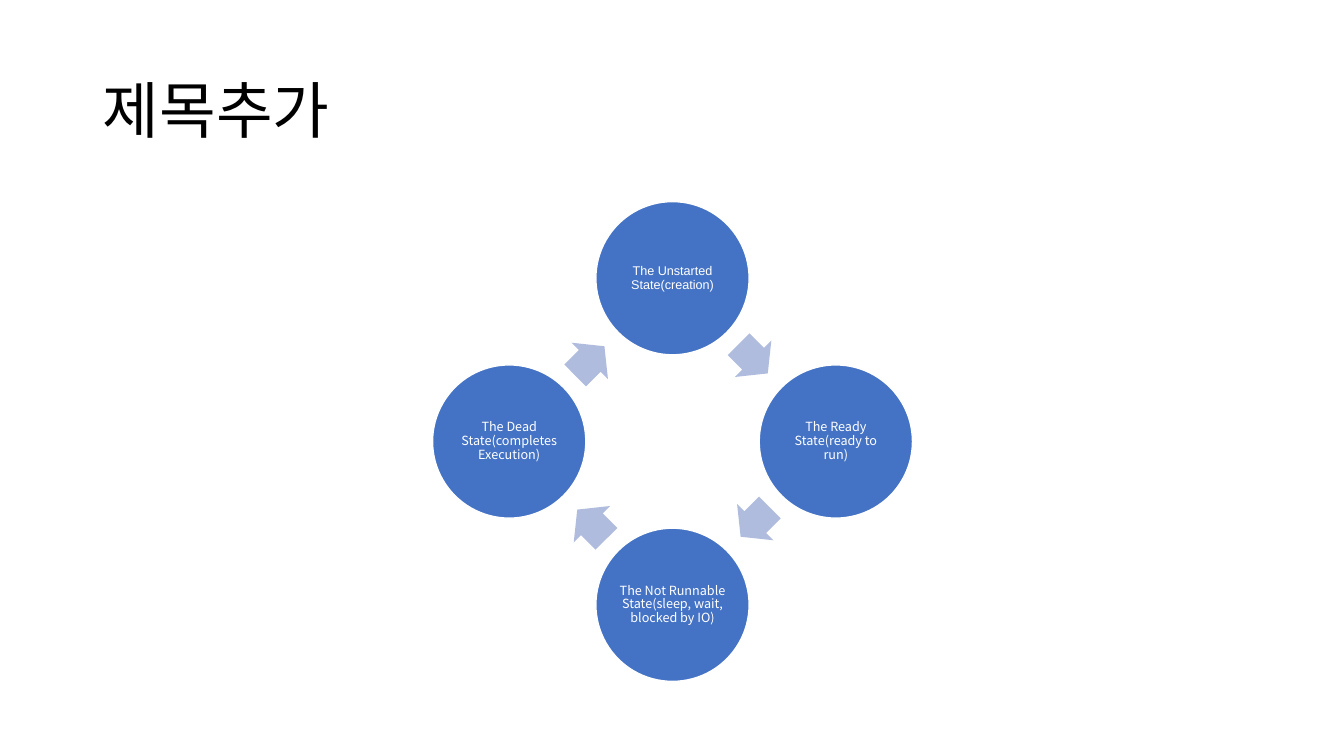
import pptx
import pptx.util
import pptx.dml.color
import pptx.enum.shapes
import pptx.enum.text
import pptx.oxml
import pptx.oxml.ns

Inches = pptx.util.Inches
RGBColor = pptx.dml.color.RGBColor
SHAPES = pptx.enum.shapes.MSO_SHAPE
ALIGN = pptx.enum.text.PP_ALIGN

BLACK = RGBColor(0x00, 0x00, 0x00)
WHITE = RGBColor(0xFF, 0xFF, 0xFF)
BLUE = RGBColor(0x44, 0x72, 0xC4)
PALE_BLUE = RGBColor(0xB0, 0xBC, 0xDE)
KOREAN_FONT = "Noto Sans CJK KR"


def write_text(shape, text, size, color, font=KOREAN_FONT, align=ALIGN.LEFT):
    frame = shape.text_frame
    frame.word_wrap = True
    frame.auto_size = pptx.enum.text.MSO_AUTO_SIZE.NONE
    frame.vertical_anchor = pptx.enum.text.MSO_ANCHOR.MIDDLE
    para = frame.paragraphs[0]
    para.alignment = align
    para.line_spacing = 0.9
    span = para.add_run()
    span.text = text
    span.font.size = pptx.util.Pt(size)
    span.font.color.rgb = color
    span.font.name = font
    # East Asian glyphs use their own typeface setting
    east_asian = pptx.oxml.parse_xml(
        f'<a:ea {pptx.oxml.ns.nsdecls("a")} typeface="{font}"/>')
    span.font._element.find(pptx.oxml.ns.qn("a:latin")).addnext(east_asian)
    return frame


deck = pptx.Presentation()
deck.slide_width = Inches(13.33)
deck.slide_height = Inches(7.5)
page = deck.slides.add_slide(deck.slide_layouts[5])

# Title
title = page.shapes.title
title.left, title.top = Inches(0.92), Inches(0.4)
title.width, title.height = Inches(11.5), Inches(1.45)
write_text(title, "제목추가", size=44, color=BLACK)

# Thread life cycle, clockwise from the top
states = [
    ("The Unstarted State(creation)", "Arial"),
    ("The Ready State(ready to run)", KOREAN_FONT),
    ("The Not Runnable State(sleep, wait, blocked by IO)", KOREAN_FONT),
    ("The Dead State(completes Execution)", KOREAN_FONT),
]
CENTER_X, CENTER_Y = 6.67, 4.38
RING_RADIUS = 1.62
DIAMETER = 1.52
ARROW_LENGTH, ARROW_WIDTH = 0.41, 0.51

state_x, state_y = 0, -RING_RADIUS
arrow_x, arrow_y = 0.8, -0.82
for index, (label, font) in enumerate(states):
    # State circle
    circle = page.shapes.add_shape(
        SHAPES.OVAL,
        Inches(CENTER_X + state_x - DIAMETER / 2),
        Inches(CENTER_Y + state_y - DIAMETER / 2),
        Inches(DIAMETER), Inches(DIAMETER))
    circle.shadow.inherit = False
    circle.fill.solid()
    circle.fill.fore_color.rgb = BLUE
    circle.line.color.rgb = WHITE
    circle.line.width = pptx.util.Pt(1)
    frame = write_text(circle, label, size=9, color=WHITE, font=font,
                       align=ALIGN.CENTER)
    frame.margin_left = frame.margin_right = 0
    frame.margin_top = frame.margin_bottom = 0

    # Arrow to the next state
    arrow = page.shapes.add_shape(
        SHAPES.RIGHT_ARROW,
        Inches(CENTER_X + arrow_x - ARROW_LENGTH / 2),
        Inches(CENTER_Y + arrow_y - ARROW_WIDTH / 2),
        Inches(ARROW_LENGTH), Inches(ARROW_WIDTH))
    arrow.adjustments[0] = 0.6
    arrow.adjustments[1] = 0.5
    arrow.rotation = 45 + 90 * index
    arrow.shadow.inherit = False
    arrow.fill.solid()
    arrow.fill.fore_color.rgb = PALE_BLUE
    arrow.line.fill.background()

    # Quarter turn clockwise
    state_x, state_y = -state_y, state_x
    arrow_x, arrow_y = -arrow_y, arrow_x

deck.save("out.pptx")
